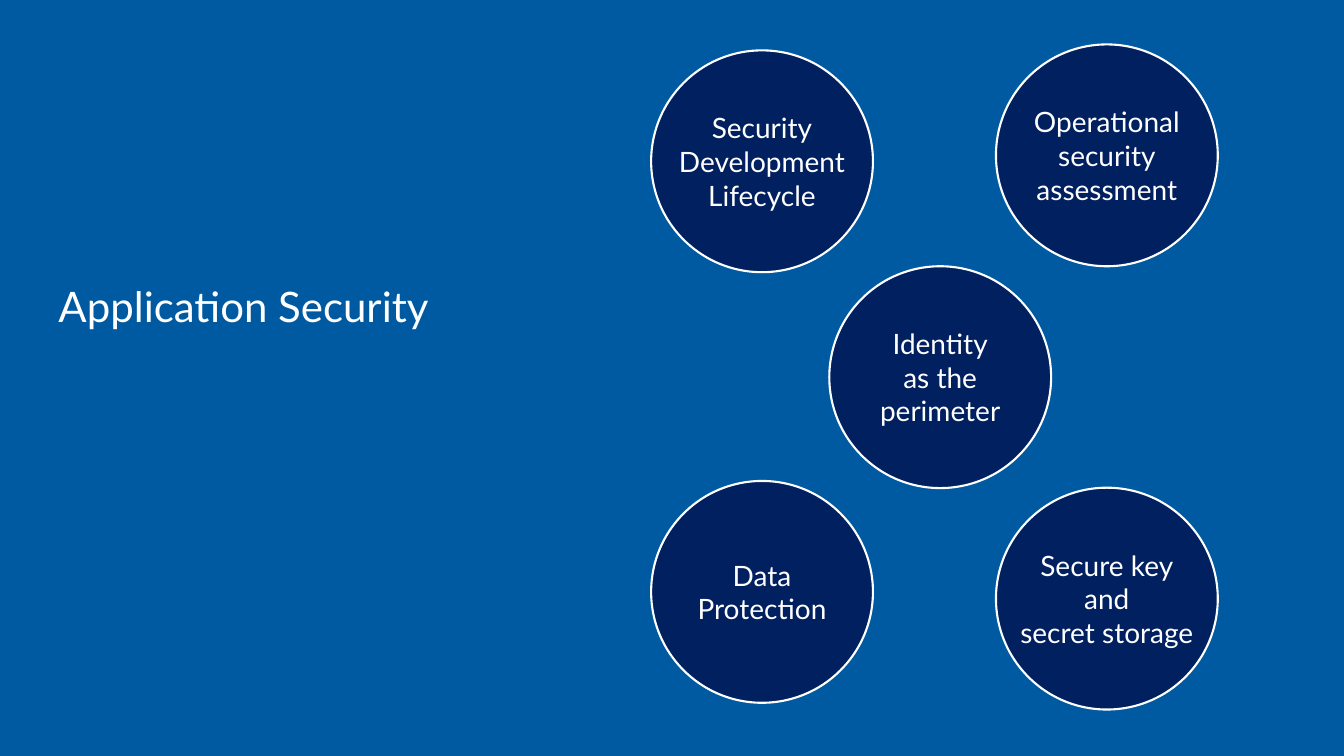
import dataclasses

import pptx
import pptx.dml.color
import pptx.enum.shapes
import pptx.enum.text
import pptx.util
from pptx.util import Cm


@dataclasses.dataclass(frozen=True)
class Theme:
    font: str = "Lato"
    backdrop: str = "005AA1"
    circle: str = "002060"
    light: str = "FFFFFF"
    title_size: int = 30
    circle_size: int = 20
    outline: float = 1.5


THEME = Theme()
SHAPES = pptx.enum.shapes.MSO_SHAPE
ALIGN = pptx.enum.text.PP_ALIGN

PAGE_WIDTH, PAGE_HEIGHT = Cm(33.87), Cm(19.05)
DIAMETER = Cm(5.59)
LEFT_COLUMN, MIDDLE_COLUMN, RIGHT_COLUMN = Cm(16.41), Cm(20.9), Cm(25.1)

TOPICS = [
    (RIGHT_COLUMN, Cm(12.29), ["Secure key", "and", "secret storage"]),
    (LEFT_COLUMN, Cm(12.12), ["Data", "Protection"]),
    (MIDDLE_COLUMN, Cm(6.71), ["Identity", "as the", "perimeter"]),
    (RIGHT_COLUMN, Cm(1.12), ["Operational", "security", "assessment"]),
    (LEFT_COLUMN, Cm(1.27), ["Security", "Development", "Lifecycle"]),
]


def rgb(color):
    return pptx.dml.color.RGBColor.from_string(color)


def write_text(box, lines, *, size, align, wrap=True, inset=None):
    frame = box.text_frame
    frame.word_wrap = wrap
    frame.vertical_anchor = pptx.enum.text.MSO_ANCHOR.MIDDLE
    if inset is not None:
        frame.margin_left = frame.margin_right = inset
        frame.margin_top = frame.margin_bottom = inset
    for index, line in enumerate(lines):
        para = frame.paragraphs[0] if index == 0 else frame.add_paragraph()
        para.alignment = align
        span = para.add_run()
        span.text = line
        span.font.name = THEME.font
        span.font.size = pptx.util.Pt(size)
        span.font.color.rgb = rgb(THEME.light)


def add_filled(page, kind, left, top, width, height, color):
    shape = page.shapes.add_shape(kind, left, top, width, height)
    shape.shadow.inherit = False
    shape.fill.solid()
    shape.fill.fore_color.rgb = rgb(color)
    return shape


def add_backdrop(page):
    backdrop = add_filled(page, SHAPES.RECTANGLE, 0, 0, PAGE_WIDTH, PAGE_HEIGHT, THEME.backdrop)
    backdrop.line.fill.background()


def add_circle(page, left, top, lines):
    circle = add_filled(page, SHAPES.OVAL, left, top, DIAMETER, DIAMETER, THEME.circle)
    circle.line.color.rgb = rgb(THEME.light)
    circle.line.width = pptx.util.Pt(THEME.outline)
    write_text(circle, lines, size=THEME.circle_size, align=ALIGN.CENTER, wrap=False, inset=0)


def place_title(page, text):
    title = page.shapes.title
    title.left, title.top = Cm(1.22), Cm(6.93)
    title.width, title.height = Cm(13.61), Cm(1.55)
    write_text(title, [text], size=THEME.title_size, align=ALIGN.LEFT)
    page.shapes.element.append(title.element)


def main():
    deck = pptx.Presentation()
    deck.slide_width, deck.slide_height = PAGE_WIDTH, PAGE_HEIGHT
    page = deck.slides.add_slide(deck.slide_layouts.get_by_name("Title Only"))
    add_backdrop(page)
    for left, top, lines in TOPICS:
        add_circle(page, left, top, lines)
    place_title(page, "Application Security")
    deck.save("out.pptx")


if __name__ == "__main__":
    main()
